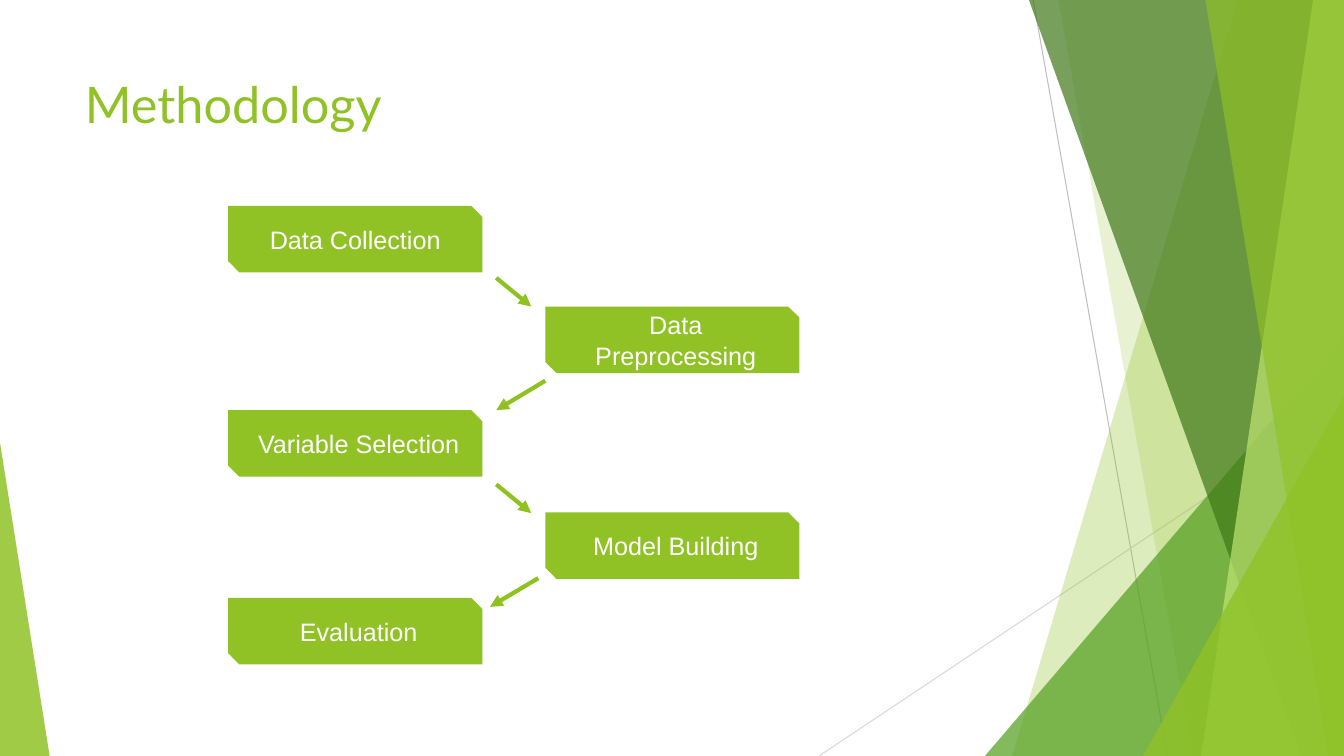
import pptx
import pptx.util
import pptx.dml.color
import pptx.enum.shapes
import pptx.enum.text
import pptx.oxml
import pptx.oxml.ns

Pt = pptx.util.Pt
SHAPE = pptx.enum.shapes.MSO_SHAPE
ANCHOR = pptx.enum.text.MSO_ANCHOR
ALIGN = pptx.enum.text.PP_ALIGN
WIDTH, HEIGHT = 960, 540
GREEN = "90C226"


def paint(color_format, color, opacity=100):
    color_format.rgb = pptx.dml.color.RGBColor.from_string(color)
    if opacity < 100:
        node = color_format._xFill.find(".//" + pptx.oxml.ns.qn("a:srgbClr"))
        alpha = pptx.oxml.parse_xml(f'<a:alpha {pptx.oxml.ns.nsdecls("a")} val="{opacity * 1000}"/>')
        node.append(alpha)


def add_line(start, end, color, width, arrow=False):
    connector = slide.shapes.add_connector(
        pptx.enum.shapes.MSO_CONNECTOR.STRAIGHT, *map(Pt, start + end))
    connector.line.width = Pt(width)
    connector.line.fill.solid()
    paint(connector.line.color, color)
    namespace = pptx.oxml.ns.nsdecls("a")
    if arrow:
        connector.line._get_or_add_ln().append(
            pptx.oxml.parse_xml(f'<a:tailEnd {namespace} type="triangle"/>'))
    connector._element.spPr.append(pptx.oxml.parse_xml(f"<a:effectLst {namespace}/>"))


presentation = pptx.Presentation()
presentation.slide_width, presentation.slide_height = Pt(WIDTH), Pt(HEIGHT)
slide = presentation.slides.add_slide(presentation.slide_layouts[5])

add_line((738, 0), (834, HEIGHT), "BFBFBF", 0.75)
add_line((WIDTH, 290), (585, HEIGHT), "D8D8D8", 0.75)

facets = [
    ("band", (884, 723), GREEN, 30),
    ("band", (756, 852), GREEN, 20),
    ("triangle", (703.5, 240, 256.5, 1), "54A021", 72),
    ("band", (735, 929.5), "3F7818", 70),
    ("band", (938, 858), "BFE471", 70),
    ("band", (861, 949), GREEN, 65),
    ("triangle", (816.5, 283, 143.5, 1), GREEN, 80),
    ("triangle", (0, 316, 35.5, 0), GREEN, 85),
]
for kind, geometry, color, opacity in facets:
    if kind == "band":
        top_x, bottom_x = geometry
        builder = slide.shapes.build_freeform(Pt(top_x), 0)
        corners = [(WIDTH, 0), (WIDTH, HEIGHT), (bottom_x, HEIGHT)]
        builder.add_line_segments([(Pt(x), Pt(y)) for x, y in corners], close=True)
        facet = builder.convert_to_shape()
    else:
        left, top, width, apex = geometry
        facet = slide.shapes.add_shape(
            SHAPE.ISOSCELES_TRIANGLE, Pt(left), Pt(top), Pt(width), Pt(HEIGHT - top))
        facet.adjustments[0] = apex
    facet.shadow.inherit = False
    facet.line.fill.background()
    facet.fill.solid()
    paint(facet.fill.fore_color, color, opacity)

title = slide.shapes.title
title_place = {"left": 53.5, "top": 48.5, "width": 677, "height": 103.5}
for name, value in title_place.items():
    setattr(title, name, Pt(value))
title.text_frame.text = "Methodology"
title.text_frame.vertical_anchor = ANCHOR.TOP
title_paragraph = title.text_frame.paragraphs[0]
title_paragraph.alignment = ALIGN.LEFT
for name, value in {"name": "Lato", "size": Pt(36)}.items():
    setattr(title_paragraph.runs[0].font, name, value)
paint(title_paragraph.runs[0].font.color, GREEN)

step_columns = (163, 389.5)
steps = [
    ("Data Collection", 147),
    ("Data Preprocessing", 219),
    ("Variable Selection", 293),
    ("Model Building", 366),
    ("Evaluation", 427),
]
for index, (label, top) in enumerate(steps):
    step = slide.shapes.add_shape(
        SHAPE.SNIP_2_DIAG_RECTANGLE, Pt(step_columns[index % 2]), Pt(top), Pt(181.5), Pt(47.5))
    step.shadow.inherit = False
    step.line.fill.background()
    step.fill.solid()
    paint(step.fill.fore_color, GREEN)
    frame_format = {
        "text": label, "word_wrap": True, "vertical_anchor": ANCHOR.MIDDLE,
        "margin_left": Pt(12 if index else 7.2),
    }
    for name, value in frame_format.items():
        setattr(step.text_frame, name, value)
    paragraph = step.text_frame.paragraphs[0]
    paragraph.alignment = ALIGN.CENTER
    for name, value in {"name": "Arial", "size": Pt(18)}.items():
        setattr(paragraph.runs[0].font, name, value)
    paint(paragraph.runs[0].font.color, "FFFFFF")

arrows = [
    ((354.5, 198.5), (379.5, 219)),
    ((389.5, 272), (354.5, 293)),
    ((354.5, 346), (379.5, 366.5)),
    ((384.5, 413), (350, 433.5)),
]
for start, end in arrows:
    add_line(start, end, "8EC221", 3, arrow=True)

presentation.save("out.pptx")
